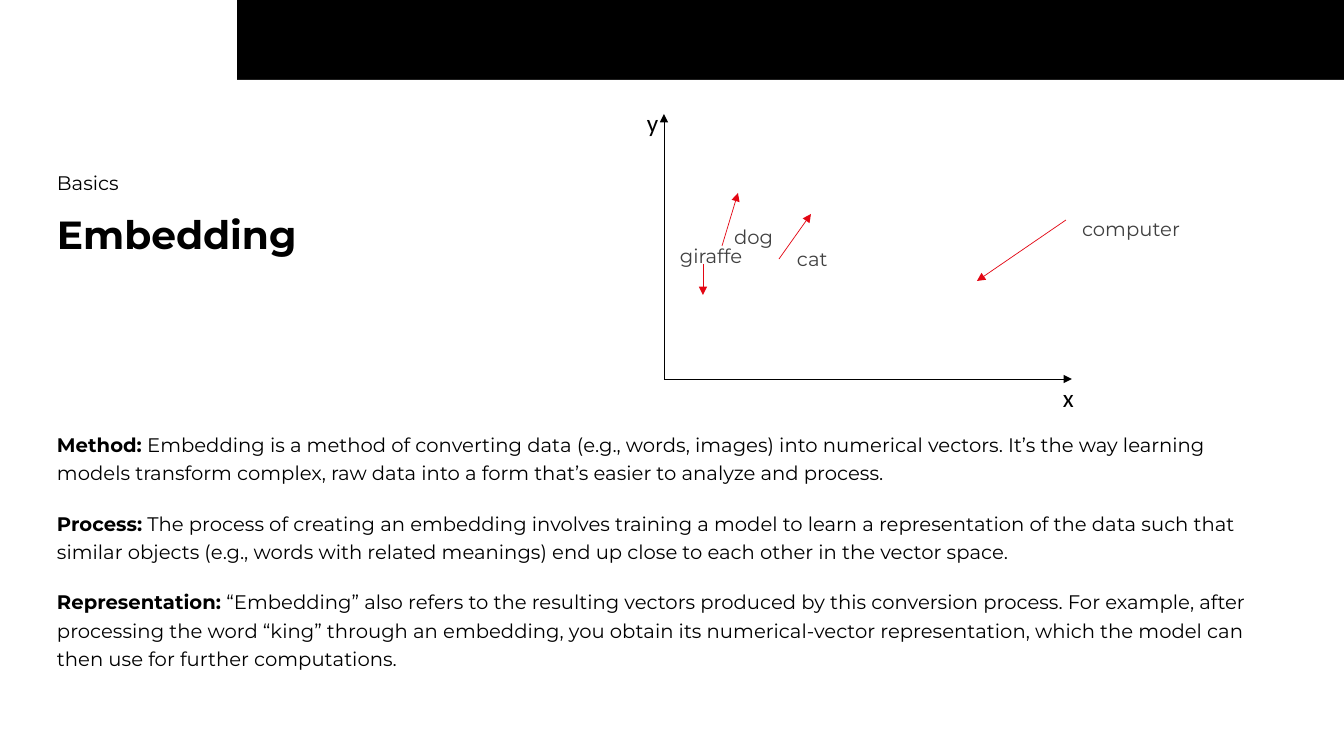
from lxml import etree
from pptx import Presentation
from pptx import util as u
from pptx.dml.color import RGBColor
from pptx.enum import shapes, text
from pptx.oxml.ns import qn

BLACK = RGBColor(0x00, 0x00, 0x00)
WHITE = RGBColor(0xFF, 0xFF, 0xFF)
GREY = RGBColor(0x40, 0x40, 0x40)
RED = RGBColor(0xE3, 0x06, 0x13)

WIDTH, HEIGHT = 1344, 756
PANEL = [(0, 0), (237, 0), (237, 80), (WIDTH, 80), (WIDTH, HEIGHT), (0, HEIGHT)]
ORIGIN = (664, 379)
AXES = [
    ("x", (1072, 379), (1053, 377)),
    ("y", (664, 114), (637, 102)),
]
VECTORS = [
    ("cat", (779, 259), (811, 214), (787, 242, 54)),
    ("dog", (722, 246), (738, 193), (724, 220, 71)),
    ("giraffe", (703, 264), (703, 295), (670, 239, 109)),
    ("computer", (1066, 220), (977, 281), (1072, 212, 131)),
]
DEFINITIONS = [
    ("Method:", " Embedding is a method of converting data (e.g., words, images) into numerical "
     "vectors. It’s the way learning models transform complex, raw data into a form that’s "
     "easier to analyze and process."),
    ("Process:", " The process of creating an embedding involves training a model to learn a "
     "representation of the data such that similar objects (e.g., words with related meanings) "
     "end up close to each other in the vector space."),
    ("Representation:", " “Embedding” also refers to the resulting vectors produced by this "
     "conversion process. For example, after processing the word “king” through an embedding, "
     "you obtain its numerical-vector representation, which the model can then use for "
     "further computations."),
]


def px(length):
    return u.Inches(length / 100.8)


class SlideBuilder:
    """Draws styled elements on one slide, with lengths in px."""

    font = "Montserrat"
    size = 14
    line_width = u.Pt(0.5)

    def __init__(self, slide):
        self.slide = slide

    def background(self, color):
        fill = self.slide.background.fill
        fill.solid()
        fill.fore_color.rgb = color

    def outline(self, points, color):
        builder = self.slide.shapes.build_freeform(*points[0], scale=px(1000) / 1000)
        builder.add_line_segments(points[1:], close=True)
        shape = builder.convert_to_shape()
        shape.shadow.inherit = False
        shape.fill.solid()
        shape.fill.fore_color.rgb = color
        shape.line.fill.background()

    def arrow(self, start, end, color):
        points = [px(value) for value in (*start, *end)]
        connector = self.slide.shapes.add_connector(shapes.MSO_CONNECTOR.STRAIGHT, *points)
        connector.line.color.rgb = color
        connector.line.width = self.line_width
        line = connector.line._get_or_add_ln()
        etree.SubElement(line, qn("a:tailEnd"), type="triangle")
        etree.SubElement(connector._element.spPr, qn("a:effectLst"))

    def text_box(self, box, paragraphs, size=size, color=BLACK, font=font,
                 spacing=1.0, inset=0):
        shape = self.slide.shapes.add_textbox(*[px(value) for value in box])
        frame = shape.text_frame
        frame.word_wrap = True
        frame.vertical_anchor = text.MSO_ANCHOR.TOP
        frame.margin_left = frame.margin_right = px(inset)
        for index, runs in enumerate(paragraphs):
            paragraph = frame.add_paragraph() if index else frame.paragraphs[0]
            paragraph.line_spacing = spacing
            if index:
                paragraph.space_before = u.Pt(10)
            if len(paragraphs) > 1:
                paragraph.space_after = u.Pt(6)
            for content, bold in runs:
                run = paragraph.add_run()
                run.text = content
                run.font.name = font
                run.font.size = u.Pt(size)
                run.font.bold = bold
                run.font.color.rgb = color

    def label(self, box, content, **style):
        self.text_box(box, [[(content, False)]], inset=10, **style)


def main():
    presentation = Presentation()
    presentation.slide_width = px(WIDTH)
    presentation.slide_height = px(HEIGHT)
    builder = SlideBuilder(presentation.slides.add_slide(presentation.slide_layouts[6]))

    builder.background(BLACK)
    builder.outline(PANEL, WHITE)
    builder.text_box((57, 161, 581, 32), [[("Basics", False)]], spacing=1.2)
    builder.text_box((57, 214, 525, 55), [[("Embedding", True)]], size=28, spacing=0.8)
    definitions = [[(term, True), (meaning, False)] for term, meaning in DEFINITIONS]
    builder.text_box((57, 423, 1199, 277), definitions, spacing=1.2)

    for word, start, end, (left, top, width) in VECTORS:
        builder.arrow(start, end, RED)
        builder.label((left, top, width, 34), word, color=GREY)
    for name, end, (left, top) in AXES:
        builder.arrow(ORIGIN, end, BLACK)
        builder.label((left, top, 27, 32), name, size=18, font="Calibri")

    presentation.save("out.pptx")


if __name__ == "__main__":
    main()
